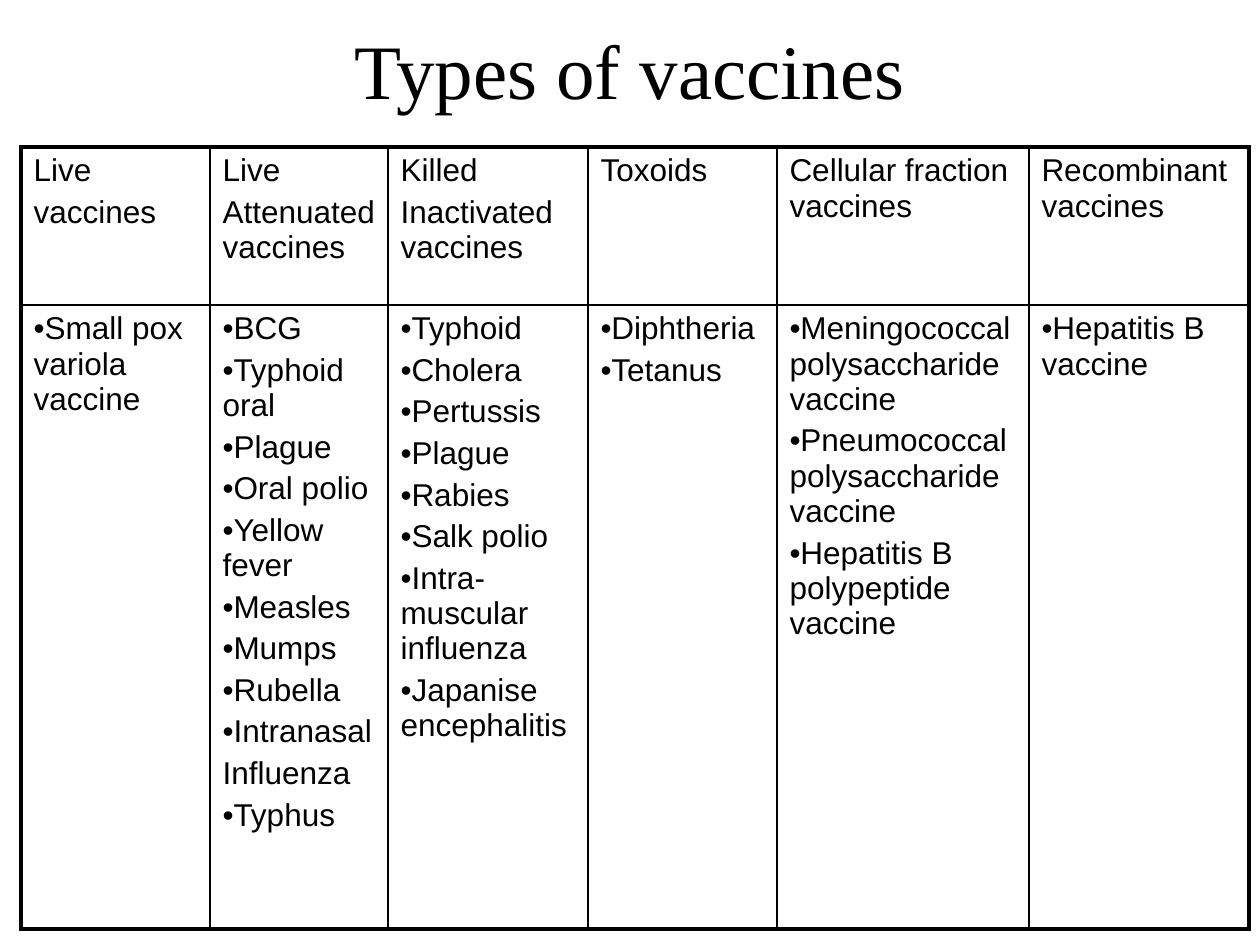
from dataclasses import dataclass

from lxml import etree
from pptx import Presentation
from pptx import util as u
from pptx.dml import color
from pptx.enum import text
from pptx.oxml import ns

SCALE = 914400 / 126


@dataclass(frozen=True)
class Theme:
    ink: str = "000000"
    title_font: str = "Times New Roman"
    body_font: str = "Arial"
    title_size: float = 44
    body_size: float = 18
    para_gap: float = 3.6
    outer_line: float = 2.25
    inner_line: float = 1


THEME = Theme()
BULLET = "•"
COLUMNS = [
    (189, ["Live", "vaccines"], ["•Small pox variola vaccine"]),
    (178, ["Live", "Attenuated vaccines"],
     ["•BCG", "•Typhoid oral", "•Plague", "•Oral polio", "•Yellow fever", "•Measles",
      "•Mumps", "•Rubella", "•Intranasal", "Influenza", "•Typhus"]),
    (200, ["Killed", "Inactivated vaccines"],
     ["•Typhoid", "•Cholera", "•Pertussis", "•Plague", "•Rabies", "•Salk polio",
      "•Intra-muscular influenza", "•Japanise encephalitis"]),
    (189, ["Toxoids"], ["•Diphtheria", "•Tetanus"]),
    (252, ["Cellular fraction vaccines"],
     ["•Meningococcal polysaccharide vaccine", "•Pneumococcal polysaccharide vaccine",
      "•Hepatitis B polypeptide vaccine"]),
    (220, ["Recombinant vaccines"], ["•Hepatitis B vaccine"]),
]
ROW_HEIGHTS = [158, 624]


def px(length):
    return u.Emu(round(length * SCALE))


def add_child(parent, tag, **attributes):
    return etree.SubElement(parent, ns.qn(tag), attributes)


def add_span(para, words, font, size):
    span = para.add_run()
    span.text = words
    span.font.name = font
    span.font.size = u.Pt(size)
    span.font.color.rgb = color.RGBColor.from_string(THEME.ink)


def add_bullet(para):
    properties = para._p.get_or_add_pPr()
    properties.set("marL", "0")
    properties.set("indent", "0")
    tint = add_child(properties, "a:buClr")
    add_child(tint, "a:srgbClr", val=THEME.ink)
    add_child(properties, "a:buFont", typeface=THEME.body_font)
    add_child(properties, "a:buChar", char=BULLET)


def fill_cell(cell, lines):
    frame = cell.text_frame
    for index, line in enumerate(lines):
        para = frame.add_paragraph() if index else frame.paragraphs[0]
        if line.startswith(BULLET):
            add_bullet(para)
        if index:
            para.space_before = u.Pt(THEME.para_gap)
        add_span(para, line.removeprefix(BULLET), THEME.body_font, THEME.body_size)


def set_borders(cell, outer_sides):
    properties = cell._tc.get_or_add_tcPr()
    for side in "LRTB":
        width = THEME.outer_line if side in outer_sides else THEME.inner_line
        line = add_child(properties, f"a:ln{side}", w=str(u.Pt(width)))
        paint = add_child(line, "a:solidFill")
        add_child(paint, "a:srgbClr", val=THEME.ink)


def add_title(page, left, top, width, height):
    box = page.shapes.add_textbox(px(left), px(top), px(width), px(height))
    frame = box.text_frame
    frame.word_wrap = True
    frame.vertical_anchor = text.MSO_ANCHOR.MIDDLE
    para = frame.paragraphs[0]
    para.alignment = text.PP_ALIGN.CENTER
    add_span(para, "Types of vaccines", THEME.title_font, THEME.title_size)


def add_vaccine_table(page, left, top):
    widths = [width for width, _, _ in COLUMNS]
    last_row, last_column = len(ROW_HEIGHTS) - 1, len(COLUMNS) - 1
    table = page.shapes.add_table(
        len(ROW_HEIGHTS), len(COLUMNS),
        px(left), px(top), px(sum(widths)), px(sum(ROW_HEIGHTS)),
    ).table
    table.first_row = False
    table.horz_banding = False
    for row, height in zip(table.rows, ROW_HEIGHTS):
        row.height = px(height)
    for c, (width, *contents) in enumerate(COLUMNS):
        table.columns[c].width = px(width)
        for r, lines in enumerate(contents):
            cell = table.cell(r, c)
            edges = {"L": c == 0, "R": c == last_column, "T": r == 0, "B": r == last_row}
            set_borders(cell, [side for side, outer in edges.items() if outer])
            cell.fill.background()
            fill_cell(cell, lines)


def main():
    deck = Presentation()
    deck.slide_width, deck.slide_height = px(1260), px(945)
    page = deck.slides.add_slide(deck.slide_layouts[6])
    add_title(page, 63, -10, 1134, 158)
    add_vaccine_table(page, 21, 147)
    deck.save("out.pptx")


if __name__ == "__main__":
    main()
